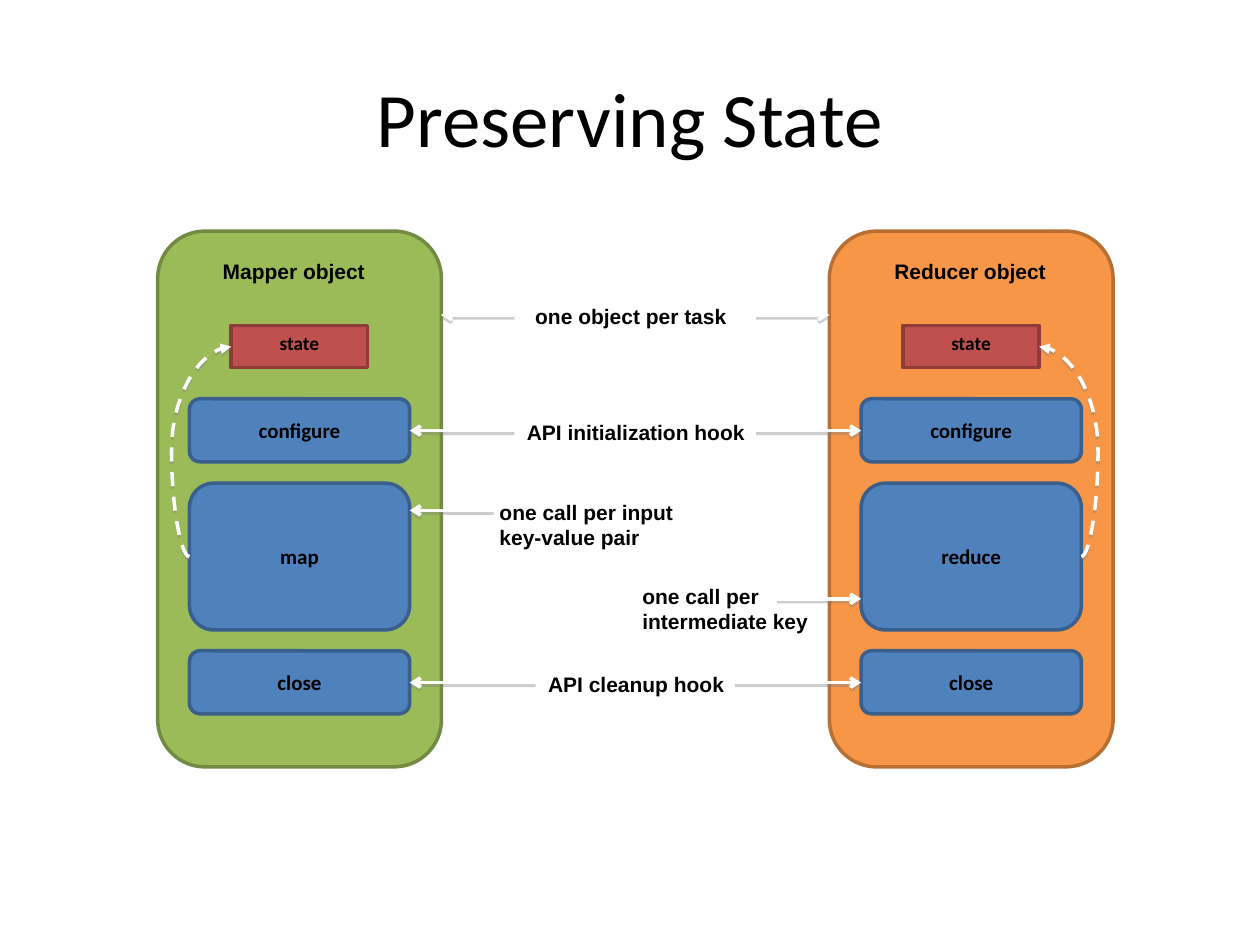
from dataclasses import dataclass
from lxml import etree
from pptx import Presentation
from pptx import util as u
from pptx.dml.color import RGBColor
from pptx.enum import dml, shapes, text
from pptx.oxml.ns import qn


@dataclass(frozen=True)
class Theme:
    # Fill and outline pairs
    green: tuple = ("9BBB59", "738A42")
    orange: tuple = ("F79646", "B76F34")
    blue: tuple = ("4F81BD", "3A5F8C")
    red: tuple = ("C0504D", "8E3B39")
    ink: str = "000000"
    arrow: str = "FFFFFF"
    shade: str = "808080"
    # Fonts, type sizes and line width
    body: str = "Calibri"
    label: str = "Arial"
    title: int = 44
    base: int = 12
    small: int = 11
    line: int = 2


def rgb(code):
    return RGBColor.from_string(code)


def write(frame, words, size, font, color, bold=True, center=True, middle=True):
    """Fill a text frame; a vertical tab in the words breaks the line."""
    frame.vertical_anchor = (text.MSO_ANCHOR.MIDDLE if middle
                             else text.MSO_ANCHOR.TOP)
    para = frame.paragraphs[0]
    para.text = words
    para.alignment = text.PP_ALIGN.CENTER if center else text.PP_ALIGN.LEFT
    for run in para.runs:
        run.font.size, run.font.name, run.font.bold = u.Pt(size), font, bold
        run.font.color.rgb = rgb(color)


def node(parent, tag, **attrs):
    return etree.SubElement(parent, qn(tag), attrs)


class Deck:
    def __init__(self, theme):
        self.theme = theme
        self.show = Presentation()
        self.show.slide_width, self.show.slide_height = u.Cm(25.4), u.Cm(19.05)
        self.slide = self.show.slides.add_slide(self.show.slide_layouts[6])

    def title(self, words, *area):
        box = self.slide.shapes.add_textbox(*map(u.Cm, area))
        box.text_frame.word_wrap = True
        write(box.text_frame, words, self.theme.title, self.theme.body,
              self.theme.ink, bold=False)

    def label(self, words, *area):
        frame = self.slide.shapes.add_textbox(*map(u.Cm, area)).text_frame
        frame.word_wrap = False
        frame.auto_size = text.MSO_AUTO_SIZE.SHAPE_TO_FIT_TEXT
        write(frame, words, self.theme.base, self.theme.label, self.theme.ink,
              center=False, middle=False)

    def box(self, pair, *area, words="", kind="ROUNDED_RECTANGLE", **style):
        shape = self.slide.shapes.add_shape(
            getattr(shapes.MSO_SHAPE, kind), *map(u.Cm, area))
        shape.shadow.inherit = False
        shape.fill.solid()
        shape.fill.fore_color.rgb = rgb(pair[0])
        shape.line.color.rgb = rgb(pair[1])
        shape.line.width = u.Pt(self.theme.line)
        if words:
            look = {"size": self.theme.base, **style}
            write(shape.text_frame, words, font=self.theme.body,
                  color=self.theme.ink, **look)

    def arrow(self, *ends, head="arrow", bend=None):
        """Draw a straight arrow, or a dashed curve when bend is given."""
        kind = shapes.MSO_CONNECTOR
        link = self.slide.shapes.add_connector(
            kind.STRAIGHT if bend is None else kind.CURVE, *map(u.Cm, ends))
        link.line.color.rgb = rgb(self.theme.arrow)
        link.line.width = u.Pt(self.theme.line)
        props = link._element.spPr
        if bend is not None:
            link.line.dash_style = dml.MSO_LINE.DASH
            guides = props.find(qn("a:prstGeom")).get_or_add_avLst()
            node(guides, "a:gd", name="adj1", fmla=f"val {bend}")
        node(props.find(qn("a:ln")), "a:tailEnd", type=head)
        # Soft grey shadow just below the line
        cast = node(node(props, "a:effectLst"), "a:outerShdw", blurRad="0",
                    dist=str(u.Pt(1.6)), dir="5400000", rotWithShape="0")
        tint = node(cast, "a:srgbClr", val=self.theme.shade)
        node(tint, "a:alpha", val="38000")


def panel(deck, left, pair, call):
    """One task object with its state and its three methods."""
    theme = deck.theme
    deck.box(pair, left, 4.66, 5.72, 10.8)
    for words, top, high in (("configure", 8.04, 1.27), (call, 9.74, 2.96),
                             ("close", 13.12, 1.27)):
        deck.box(theme.blue, left + 0.64, top, 4.44, high, words=words)
    deck.box(theme.red, left + 1.48, 6.56, 2.75, 0.85, words="state",
             kind="RECTANGLE", size=theme.small, middle=False)


def main():
    theme = Theme()
    deck = Deck(theme)
    deck.title("Preserving State", 1.27, 0.76, 22.86, 3.18)

    # Mapper and reducer panels
    panel(deck, 3.18, theme.green, "map")
    panel(deck, 16.72, theme.orange, "reduce")
    deck.label("Mapper object", 4.24, 5.08, 3.4, 0.76)
    deck.label("Reducer object", 17.78, 5.08, 3.61, 0.76)

    # Straight arrows: start x, end x, y
    for start, end, y in ((10.37, 8.89, 6.35), (15.24, 16.72, 6.35),
                          (10.37, 8.26, 8.68), (15.24, 17.36, 8.68),
                          (9.95, 8.26, 10.29), (15.66, 17.36, 12.07),
                          (10.8, 8.26, 13.76), (14.82, 17.36, 13.76)):
        deck.arrow(start, y, end, y)

    # Notes between the panels
    for words, x, y, wide, high in (
            ("one object per task", 10.54, 5.99, 4.47, 0.76),
            ("API initialization hook", 10.37, 8.33, 4.98, 0.76),
            ("one call per input\vkey-value pair", 9.82, 9.95, 4.19, 1.3),
            ("one call per\vintermediate key", 12.7, 11.63, 3.89, 1.3),
            ("API cleanup hook", 10.8, 13.42, 4.11, 0.76)):
        deck.label(words, x, y, wide, high)

    # Dashed curves from the main call back to the state
    for start, end, bend in ((3.82, 4.66, -43200), (21.8, 20.95, -39700)):
        deck.arrow(start, 11.22, end, 6.99, head="triangle", bend=bend)

    deck.show.save("out.pptx")


if __name__ == "__main__":
    main()
